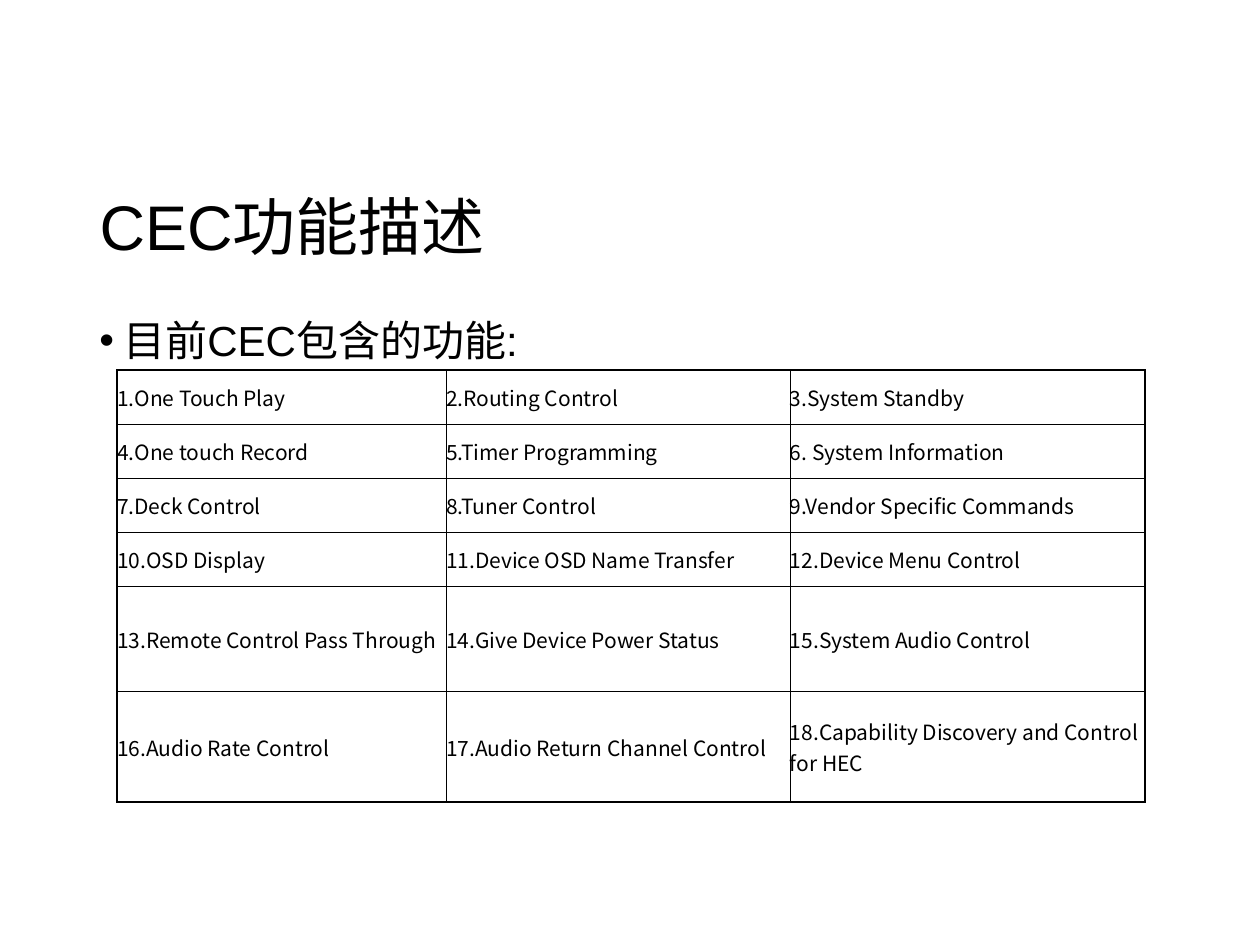
from lxml import etree
from pptx import Presentation
from pptx.dml.color import RGBColor
from pptx.enum.text import MSO_ANCHOR, MSO_AUTO_SIZE, PP_ALIGN
from pptx.oxml.ns import qn
from pptx.util import Emu, Pt

EMU_PER_PX = 914400 / 126
BLACK = RGBColor(0x00, 0x00, 0x00)
LEFT = PP_ALIGN.LEFT
TOP = MSO_ANCHOR.TOP
MIDDLE = MSO_ANCHOR.MIDDLE
NO_AUTOFIT = MSO_AUTO_SIZE.NONE
TITLE_ONLY = 5
HEADING_FONT = "Arial"
TABLE_FONT = "Noto Sans CJK SC"
OUTER_LINE, INNER_LINE = Pt(1.2), Pt(0.5)

COLUMN_WIDTHS = [329, 344, 355]
ROW_HEIGHTS = [54, 54, 54, 54, 106, 110]
FEATURES = [
    ["1.One Touch Play", "2.Routing Control", "3.System Standby"],
    ["4.One touch Record", "5.Timer Programming", "6. System Information"],
    ["7.Deck Control", "8.Tuner Control", "9.Vendor Specific Commands"],
    ["10.OSD Display", "11.Device OSD Name Transfer", "12.Device Menu Control"],
    ["13.Remote Control Pass Through", "14.Give Device Power Status",
     "15.System Audio Control"],
    ["16.Audio Rate Control", "17.Audio Return Channel Control",
     "18.Capability Discovery and Control for HEC"],
]


def px(length):
    return Emu(round(length * EMU_PER_PX))


def place(shape, left, top, width, height):
    shape.left, shape.top = px(left), px(top)
    shape.width, shape.height = px(width), px(height)


def set_font(para, name, size):
    para.alignment = LEFT
    para.font.name = name
    para.font.size = Pt(size)
    para.font.color.rgb = BLACK


def fill_heading(shape, text, size, anchor):
    frame = shape.text_frame
    frame.word_wrap = True
    frame.auto_size = NO_AUTOFIT
    frame.vertical_anchor = anchor
    frame.text = text
    para = frame.paragraphs[0]
    para.line_spacing = 0.9
    set_font(para, HEADING_FONT, size)
    return para


def add_title(slide, text):
    title = slide.shapes.title
    place(title, 87, 170, 1086, 120)
    fill_heading(title, text, 36, MIDDLE)


def add_bullet(slide, text):
    box = slide.shapes.add_textbox(px(87), px(314), px(1086), px(538))
    para = fill_heading(box, text, 24, TOP)
    para.space_before = Pt(7.5)
    properties = para._p.get_or_add_pPr()
    properties.set("marL", str(px(24)))
    properties.set("indent", str(-px(24)))
    bullet_font = etree.Element(qn("a:buFont"), typeface=HEADING_FONT)
    bullet = etree.Element(qn("a:buChar"), char="•")
    properties.find(qn("a:spcBef")).addnext(bullet_font)
    bullet_font.addnext(bullet)


def add_border(cell, side, width):
    line = etree.SubElement(cell._tc.get_or_add_tcPr(), qn("a:ln" + side), w=str(width))
    fill = etree.SubElement(line, qn("a:solidFill"))
    etree.SubElement(fill, qn("a:srgbClr"), val=str(BLACK))


def format_cell(cell, text, outer_sides):
    cell.margin_left = cell.margin_right = cell.margin_top = cell.margin_bottom = 0
    cell.vertical_anchor = MIDDLE
    cell.text = text
    set_font(cell.text_frame.paragraphs[0], TABLE_FONT, 12)
    for side in "LRTB":
        add_border(cell, side, OUTER_LINE if side in outer_sides else INNER_LINE)
    cell.fill.background()


def add_feature_table(slide):
    last_row, last_column = len(ROW_HEIGHTS) - 1, len(COLUMN_WIDTHS) - 1
    table = slide.shapes.add_table(
        len(ROW_HEIGHTS), len(COLUMN_WIDTHS), px(117), px(370),
        px(sum(COLUMN_WIDTHS)), px(sum(ROW_HEIGHTS))).table
    table.first_row = table.horz_banding = False
    for column, width in zip(table.columns, COLUMN_WIDTHS):
        column.width = px(width)
    for row, height in zip(table.rows, ROW_HEIGHTS):
        row.height = px(height)
    for i, features in enumerate(FEATURES):
        for j, feature in enumerate(features):
            edges = {"L": j == 0, "R": j == last_column, "T": i == 0, "B": i == last_row}
            outer_sides = [side for side, is_outer in edges.items() if is_outer]
            format_cell(table.cell(i, j), feature, outer_sides)


def main():
    deck = Presentation()
    deck.slide_width, deck.slide_height = px(1260), px(945)
    slide = deck.slides.add_slide(deck.slide_layouts[TITLE_ONLY])
    add_title(slide, "CEC功能描述")
    add_bullet(slide, "目前CEC包含的功能:")
    add_feature_table(slide)
    deck.save("out.pptx")


if __name__ == "__main__":
    main()
